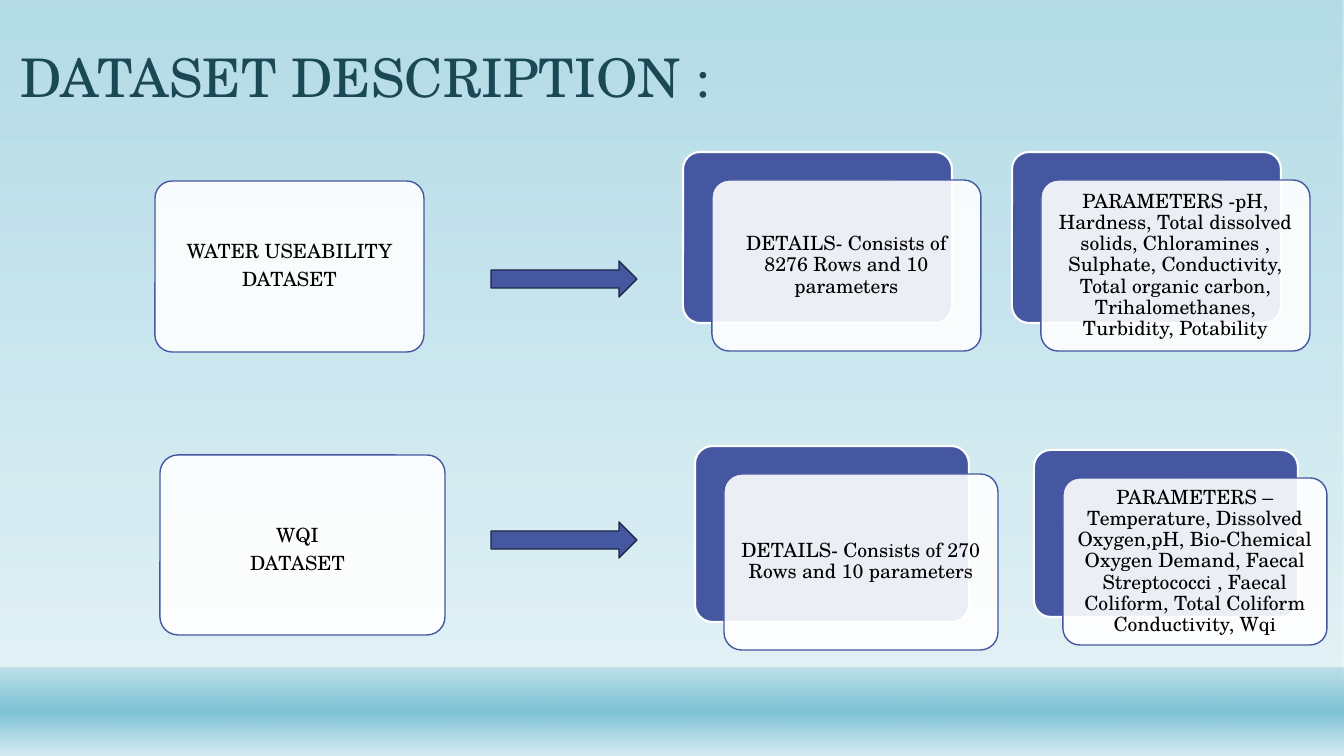
from lxml.etree import SubElement
from pptx import Presentation
from pptx.dml.color import RGBColor
from pptx.enum.shapes import MSO_SHAPE as Shape
from pptx.enum.text import MSO_ANCHOR as Anchor, PP_ALIGN as Align
from pptx.oxml.ns import qn
from pptx.util import Emu, Pt

FONT = "TeX Gyre Schola"
INDIGO, NAVY, WHITE, BLACK = "4557A1", "1E2647", "FFFFFF", "000000"
TEAL, MIST, TITLE = "7DC2D6", "D4EBF1", "1B4855"
CARD_OFFSET = (29, 28)
INSET = 6


def px(count):
    return Emu(round(count * 914400 / 100.8))


def color(code):
    return RGBColor.from_string(code)


def set_all(target, values):
    for name, value in values.items():
        setattr(target, name, value)


def set_alpha(node, percent):
    """Set the opacity of a colour element."""
    SubElement(node, qn("a:alpha"), val=str(percent * 1000))


def add_filled(page, kind, place, fill, line=None, width=1):
    shape = page.shapes.add_shape(kind, *map(px, place))
    shape.shadow.inherit = False
    shape.fill.solid()
    shape.fill.fore_color.rgb = color(fill)
    if line:
        shape.line.color.rgb = color(line)
        shape.line.width = Pt(width)
    else:
        shape.line.fill.background()
    return shape


def add_gradient_band(page, place, stops):
    """Add a top-to-bottom gradient; stops are (position, colour, opacity)."""
    band = add_filled(page, Shape.RECTANGLE, place, WHITE)
    band.fill.gradient()
    band.fill.gradient_angle = 270
    stop_list = band._element.spPr.find(qn("a:gradFill")).find(qn("a:gsLst"))
    stop_list.clear()
    for position, code, opacity in stops:
        stop = SubElement(stop_list, qn("a:gs"), pos=str(position * 1000))
        set_alpha(SubElement(stop, qn("a:srgbClr"), val=code), opacity)


def write(box, lines, size, code, anchor, align, after=0):
    set_all(box.text_frame, {"word_wrap": True, "vertical_anchor": anchor})
    box.text_frame.text = "\n".join(lines)
    for para in box.text_frame.paragraphs:
        set_all(para, {"alignment": align, "line_spacing": 0.9,
                       "space_after": Pt(after)})
        for span in para.runs:
            set_all(span.font, {"name": FONT, "size": Pt(size)})
            span.font.color.rgb = color(code)


def add_title(page, text):
    box = page.shapes.add_textbox(*map(px, (11, 18, 719, 96)))
    write(box, [text], 38, TITLE, Anchor.BOTTOM, Align.LEFT)


def add_card(page, place, lines, shift=(0, 0)):
    """Add a translucent card; shift moves its text off centre."""
    card = add_filled(page, Shape.ROUNDED_RECTANGLE, place, WHITE, INDIGO)
    card.adjustments[0] = 0.1
    set_alpha(card._element.spPr.find(qn("a:solidFill"))[0], 90)
    right, down = shift
    set_all(card.text_frame, {
        "margin_left": px(INSET + right), "margin_right": px(INSET - right),
        "margin_top": px(INSET + down), "margin_bottom": px(INSET - down)})
    write(card, lines, 14, BLACK, Anchor.MIDDLE, Align.CENTER, 4.9)


def add_stacked_card(page, place, text):
    """Add an indigo plate with a card lying over it."""
    plate = add_filled(page, Shape.ROUNDED_RECTANGLE, place, INDIGO, WHITE, 1.5)
    plate.adjustments[0] = 0.1
    left, top, width, height = place
    right, down = CARD_OFFSET
    add_card(page, (left + right, top + down, width, height), [text])


def add_arrow(page, top):
    add_filled(page, Shape.RIGHT_ARROW, (491, top, 146, 36), INDIGO, NAVY)


def main():
    deck = Presentation()
    set_all(deck, {"slide_width": px(1344), "slide_height": px(756)})
    page = deck.slides.add_slide(deck.slide_layouts[6])

    add_gradient_band(page, (0, 0, 1344, 756), [(0, TEAL, 58), (88, MIST, 65)])
    add_gradient_band(page, (0, 668, 1344, 88),
                      [(1, TEAL, 38), (49, TEAL, 100), (100, MIST, 89)])
    add_title(page, "DATASET DESCRIPTION :")

    stacked_cards = [
        ((683, 152, 269, 171),
         "DETAILS- Consists of 8276 Rows and 10 parameters"),
        ((1012, 152, 269, 171),
         "PARAMETERS -pH, Hardness, Total dissolved solids, Chloramines , "
         "Sulphate, Conductivity, Total organic carbon, Trihalomethanes, "
         "Turbidity, Potability"),
        ((695, 446, 274, 176),
         "DETAILS- Consists of 270 Rows and 10 parameters"),
        ((1034, 450, 264, 167),
         "PARAMETERS –Temperature, Dissolved Oxygen,pH, Bio-Chemical Oxygen "
         "Demand, Faecal Streptococci , Faecal Coliform, Total Coliform "
         "Conductivity, Wqi"),
    ]
    for place, text in stacked_cards:
        add_stacked_card(page, place, text)

    add_card(page, (155, 181, 269, 171), ["WATER USEABILITY", "DATASET"])
    add_card(page, (160, 455, 285, 180), ["WQI", "DATASET"], shift=(-5, 5))
    for top in (261, 522):
        add_arrow(page, top)

    deck.save("out.pptx")


if __name__ == "__main__":
    main()
